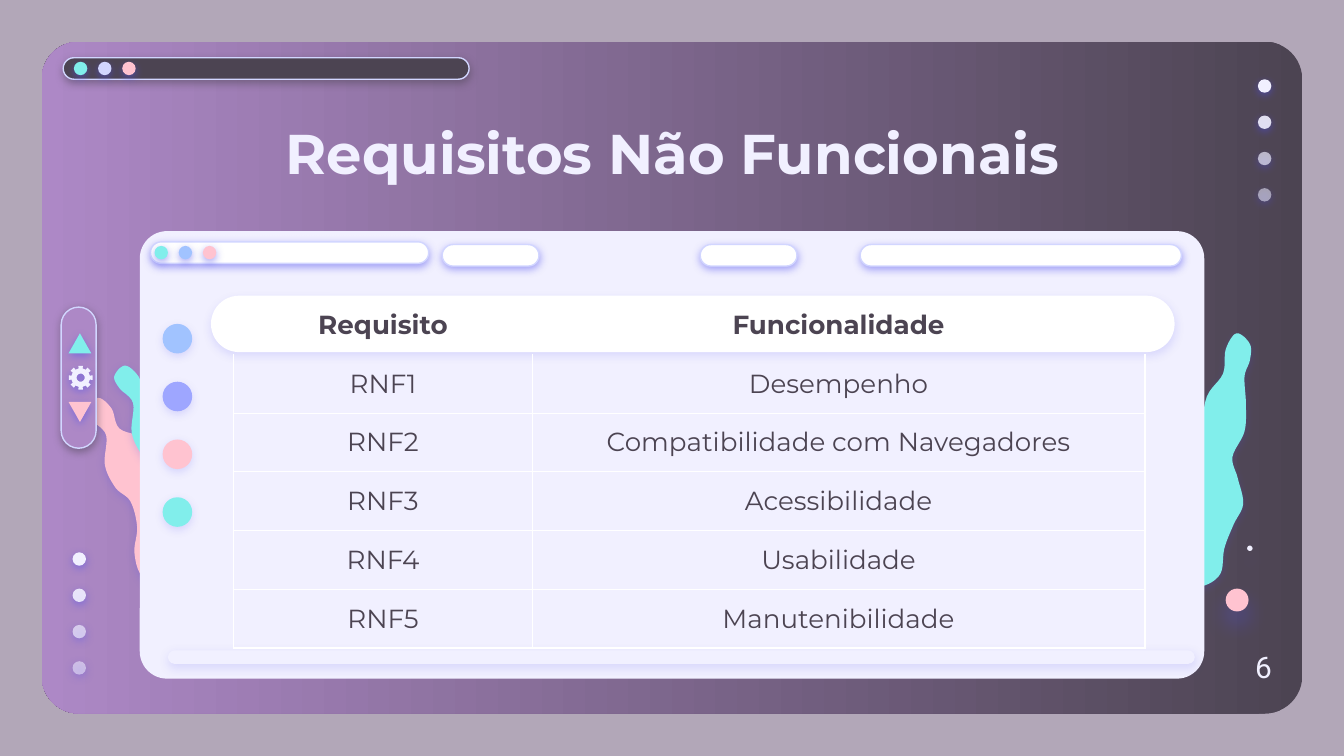
import math

from lxml import etree
from pptx import Presentation
from pptx.dml.color import RGBColor
from pptx.enum.shapes import MSO_SHAPE
from pptx.enum.text import MSO_ANCHOR, PP_ALIGN
from pptx.oxml.ns import qn
from pptx.util import Inches, Pt

OVAL, ROUNDED, TRIANGLE = MSO_SHAPE.OVAL, MSO_SHAPE.ROUNDED_RECTANGLE, MSO_SHAPE.ISOSCELES_TRIANGLE
TOP, MIDDLE = MSO_ANCHOR.TOP, MSO_ANCHOR.MIDDLE
LEFT, CENTER = PP_ALIGN.LEFT, PP_ALIGN.CENTER

DARK, PURPLE, PALE, WHITE = "4C4452", "AD88C6", "F1F0FF", "FFFFFF"
TEAL, PINK, BLUE, VIOLET, LILAC = "81EEEB", "FFC3D0", "A1C3FF", "9EA6FF", "D2D6FF"
GLOW = "5352EE"

TITLE = "Requisitos Não Funcionais"
PAGE_NUMBER = "6"
ROWS = [
    ("Requisito", "Funcionalidade"),
    ("RNF1", "Desempenho"),
    ("RNF2", "Compatibilidade com Navegadores"),
    ("RNF3", "Acessibilidade"),
    ("RNF4", "Usabilidade"),
    ("RNF5", "Manutenibilidade"),
]
COLUMN_WIDTHS = (2.22, 4.56)
ROW_HEIGHT = 0.42
PANEL_BARS = [(1.12, 1.8, 2.07), (3.29, 1.82, 0.72), (5.21, 1.82, 0.72), (6.4, 1.82, 2.39)]
RIGHT_SPLASH = [
    (9.2, 2.48), (9.12, 2.6), (9.1, 2.78), (8.98, 2.95), (8.93, 3.21), (8.85, 3.45),
    (8.74, 3.7), (8.8, 3.87), (8.82, 4.01), (8.76, 4.2), (8.82, 4.33), (8.95, 4.36),
    (9.08, 4.27), (9.11, 4.08), (9.18, 3.9), (9.25, 3.75), (9.21, 3.56), (9.17, 3.4),
    (9.26, 3.21), (9.27, 3), (9.26, 2.8), (9.3, 2.68), (9.3, 2.56),
]
LEFT_SPLASH = [
    (0.73, 2.96), (0.65, 3.04), (0.69, 3.13), (0.79, 3.24), (0.78, 3.46), (0.86, 3.63),
    (0.97, 3.73), (1.02, 3.92), (1, 4.11), (1.05, 4.28), (1.19, 4.37), (1.38, 4.33),
    (1.55, 4.16), (1.57, 3.93), (1.43, 3.73), (1.3, 3.6), (1.22, 3.4), (1.08, 3.26),
    (0.89, 3.19), (0.83, 3.04),
]

def rgb(color):
    return RGBColor.from_string(color)

def add_alpha(color_element, percent):
    etree.SubElement(color_element, qn("a:alpha"), val=str(percent * 1000))

def style(shape, color, alpha=100, line=None, shadow=None):
    """Fill a shape; shadow is (colour, opacity) plus optional blur and distance."""
    shape.fill.solid()
    shape.fill.fore_color.rgb = rgb(color)
    properties = shape.element.spPr
    if alpha < 100:
        add_alpha(properties.find(qn("a:solidFill"))[0], alpha)
    if line:
        shape.line.color.rgb = rgb(line)
        shape.line.width = Pt(0.75)
    else:
        shape.line.fill.background()
    shape.shadow.inherit = False
    if shadow:
        shade, opacity, blur, distance = (*shadow, 4.5, 1.5)[:4]
        outer = etree.SubElement(
            properties.find(qn("a:effectLst")), qn("a:outerShdw"), blurRad=str(Pt(blur)),
            dist=str(Pt(distance)), dir="5400000", algn="bl", rotWithShape="0")
        add_alpha(etree.SubElement(outer, qn("a:srgbClr"), val=shade), opacity)

def add_shape(page, kind, at, color, corner=None, rotation=0, **look):
    shape = page.shapes.add_shape(kind, *map(Inches, at))
    if corner is not None:
        shape.adjustments[0] = corner
    shape.rotation = rotation
    style(shape, color, **look)
    return shape

def add_dots(page, left, top, colors, dx=0.0, dy=0.0, size=0.1, opacity=50, alphas=(100,) * 4):
    for i, (color, alpha) in enumerate(zip(colors, alphas)):
        at = (left + i * dx, top + i * dy, size, size)
        add_shape(page, OVAL, at, color, alpha=alpha, shadow=(GLOW, opacity))

def add_outline(page, contours, color, opacity):
    contours = [[(Inches(x), Inches(y)) for x, y in contour] for contour in contours]
    builder = page.shapes.build_freeform(*contours[0][0])
    for contour in contours:
        builder.move_to(*contour[0])
        builder.add_line_segments(contour[1:], close=True)
    style(builder.convert_to_shape(), color, shadow=(GLOW, opacity))

def smooth(points, steps=6):
    """Closed Catmull-Rom curve through the points."""
    curve = []
    for i in range(len(points)):
        near = [points[(i + k) % len(points)] for k in (-1, 0, 1, 2)]
        for t in (n / steps for n in range(steps)):
            curve.append(tuple(
                b + 0.5 * t * (c - a + t * (2 * a - 5 * b + 4 * c - d + t * (3 * (b - c) + d - a)))
                for a, b, c, d in zip(*near)))
    return curve

def ring(x, y, polar):
    return [(x + r * math.cos(math.radians(a)), y + r * math.sin(math.radians(a))) for r, a in polar]

def write(frame, text, font, size, color, bold=False, align=CENTER):
    frame.word_wrap = True
    paragraph = frame.paragraphs[0]
    paragraph.alignment = align
    span = paragraph.add_run()
    span.text = text
    for name, value in {"name": font, "size": Pt(size), "bold": bold}.items():
        setattr(span.font, name, value)
    span.font.color.rgb = rgb(color)

def place_text(target, anchor=TOP, margin=0.1):
    formats = {"vertical_anchor": anchor, "margin_top": Inches(margin), "margin_bottom": Inches(margin)}
    for name, value in formats.items():
        setattr(target, name, value)

def add_borders(cell, sides):
    for side in "LRTB":
        line = etree.SubElement(cell._tc.get_or_add_tcPr(), qn(f"a:ln{side}"), w=str(Pt(0.75)))
        fill = etree.SubElement(line, qn("a:solidFill" if side in sides else "a:noFill"))
        if side in sides:
            etree.SubElement(fill, qn("a:srgbClr"), val=WHITE)

def add_requirements(page):
    at = (1.74, 2.2, sum(COLUMN_WIDTHS), ROW_HEIGHT * len(ROWS))
    table = page.shapes.add_table(len(ROWS), len(COLUMN_WIDTHS), *map(Inches, at)).table
    table.first_row = table.horz_banding = False
    for column, width in zip(table.columns, COLUMN_WIDTHS):
        column.width = Inches(width)
    for r, texts in enumerate(ROWS):
        table.rows[r].height = Inches(ROW_HEIGHT)
        for c, text in enumerate(texts):
            cell = table.cell(r, c)
            add_borders(cell, ("", "LRB")[r] if r < 2 else "LRTB")
            cell.fill.background()
            write(cell.text_frame, text, "Montserrat", 14, DARK, bold=r == 0)
            place_text(cell, *((MIDDLE, 0.07) if r and c else (TOP, 0.1)))

def main():
    deck = Presentation()
    deck.slide_width = Inches(10)
    deck.slide_height = deck.slide_width * 9 // 16
    page = deck.slides.add_slide(deck.slide_layouts[5])
    page.background.fill.solid()
    page.background.fill.fore_color.rgb = rgb("B2A7B8")

    window = add_shape(page, ROUNDED, (0.31, 0.31, 9.38, 5), DARK, corner=0.056)
    window.fill.gradient()
    window.fill.gradient_angle = 180
    for stop, position, color in zip(window.fill.gradient_stops, (0, 1), (DARK, PURPLE)):
        stop.position = position
        stop.color.rgb = rgb(color)
    add_shape(page, ROUNDED, (0.47, 0.43, 3.02, 0.16), DARK, corner=0.5, line=LILAC, shadow=(DARK, 50))
    add_dots(page, 0.55, 0.46, (TEAL, LILAC, PINK), dx=0.18)
    for left, top in ((9.36, 0.59), (0.54, 4.11)):
        add_dots(page, left, top, (PALE,) * 4, dy=0.27, alphas=(100, 90, 67, 54))

    add_outline(page, [smooth(RIGHT_SPLASH)], TEAL, 18)
    add_outline(page, [smooth(LEFT_SPLASH)], PINK, 22)
    add_outline(page, [smooth([(x + 0.2, y - 0.24) for x, y in LEFT_SPLASH])], TEAL, 22)
    for left, top, size, color in ((9.12, 4.38, 0.17, PINK), (9.28, 4.06, 0.04, PALE)):
        add_shape(page, OVAL, (left, top, size, size), color, shadow=(GLOW, 38, 12.4, 6.8))
    add_shape(page, ROUNDED, (0.06, 2.68, 1.05, 0.26), PURPLE, corner=0.5, rotation=90,
              line=LILAC, shadow=(DARK, 50))

    add_shape(page, ROUNDED, (1.04, 1.72, 7.92, 3.33), PALE, corner=0.061)
    add_dots(page, 1.21, 2.41, (BLUE, VIOLET, PINK, TEAL), dy=0.43, size=0.22, opacity=16)
    add_shape(page, ROUNDED, (1.25, 4.84, 7.64, 0.1), PALE, corner=0.5, shadow=(GLOW, 15))
    for left, top, width in PANEL_BARS:
        add_shape(page, ROUNDED, (left, top, width, 0.16), WHITE, corner=0.5, line=LILAC, shadow=(GLOW, 50))
    add_shape(page, ROUNDED, (1.57, 2.2, 7.17, 0.42), WHITE, corner=0.5, shadow=(GLOW, 15))

    title = page.shapes.title
    title.left, title.top, title.width, title.height = map(Inches, (0.79, 0.78, 8.43, 0.63))
    place_text(title.text_frame)
    write(title.text_frame, TITLE, "Montserrat", 30, PALE, bold=True)
    page.shapes.element.append(title.element)
    add_requirements(page)

    add_dots(page, 1.15, 1.83, (TEAL, BLUE, PINK), dx=0.18)
    for top, rotation, color in ((2.48, 0, TEAL), (2.99, 180, PINK)):
        add_shape(page, TRIANGLE, (0.51, top, 0.17, 0.15), color, rotation=rotation, shadow=(GLOW, 50))
    teeth = [(radius, tooth * 45 + turn) for tooth in range(8)
             for radius, turn in ((0.07, -12), (0.09, -11), (0.09, 11), (0.07, 12))]
    hole = [(0.03, -angle) for angle in range(0, 360, 15)]
    add_outline(page, [ring(0.6, 2.81, teeth), ring(0.6, 2.81, hole)], PALE, 52)

    number = page.shapes.add_textbox(*map(Inches, (9.24, 4.73, 0.32, 0.34)))
    place_text(number.text_frame)
    write(number.text_frame, PAGE_NUMBER, "Roboto", 16, PALE, align=LEFT)
    deck.save("out.pptx")

if __name__ == "__main__":
    main()
